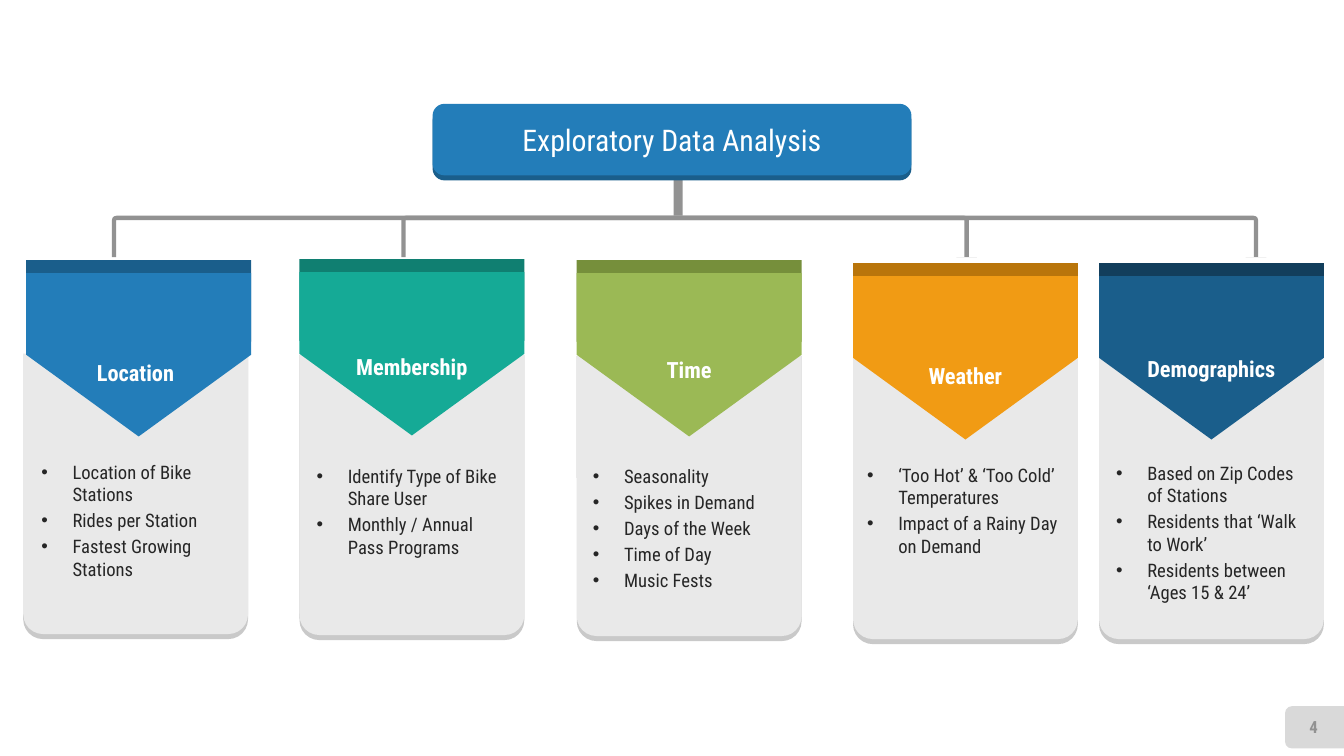
from lxml import etree
from pptx import Presentation
from pptx.dml.color import RGBColor
from pptx.enum.shapes import MSO_SHAPE
from pptx.enum.text import MSO_ANCHOR, MSO_AUTO_SIZE, PP_ALIGN
from pptx.oxml.ns import qn
from pptx.util import Inches, Pt

RECT = MSO_SHAPE.RECTANGLE
ROUND = MSO_SHAPE.ROUNDED_RECTANGLE
TAB = MSO_SHAPE.ROUND_2_SAME_RECTANGLE
PLATE = MSO_SHAPE.PENTAGON
UTURN = MSO_SHAPE.U_TURN_ARROW
MIDDLE, TOP = MSO_ANCHOR.MIDDLE, MSO_ANCHOR.TOP
CENTER, LEFT = PP_ALIGN.CENTER, PP_ALIGN.LEFT
NO_FIT = MSO_AUTO_SIZE.NONE

COLORS = {
    "white": "FFFFFF", "ink": "262626", "grey": "929292", "badge": "D9D9D9",
    "panel": "E9E9E9", "edge": "C9C9C9",
    "blue": "237DB9", "navy": "1A5E8B", "night": "123E5C",
    "teal": "15AA96", "pine": "107F71", "lime": "9BB955", "moss": "768F3B",
    "gold": "F19B14", "rust": "B9750B",
}
FACE = "Roboto Condensed"
HEAD = {"name": FACE, "size": Pt(21.3), "bold": False}
LABEL = {"name": FACE, "size": Pt(16), "bold": True}
ITEM = {"name": FACE, "size": Pt(13.3), "bold": False}
PAGE = {"name": FACE, "size": Pt(12), "bold": True}

WIDE = 2.23
LONG = 1.62
INDENT = 0.31
COLUMNS = [
    {"name": "Location", "panel": (0.23, 3.51), "plate": (0.26, 2.58),
     "fills": ("navy", "blue"), "label": 3.56, "list": (0.41, 4.57, 1.86),
     "items": ["Location of Bike Stations", "Rides per Station",
               "Fastest Growing Stations"]},
    {"name": "Membership", "panel": (2.97, 3.52), "plate": (2.97, 2.57),
     "fills": ("pine", "teal"), "label": 3.5, "list": (3.14, 4.61, 1.9),
     "items": ["Identify Type of Bike Share User",
               "Monthly / Annual Pass Programs"]},
    {"name": "Time", "panel": (5.72, 3.53), "plate": (5.72, 2.58),
     "fills": ("moss", "lime"), "label": 3.53, "list": (5.88, 4.61, 1.9),
     "items": ["Seasonality", "Spikes in Demand", "Days of the Week",
               "Time of Day", "Music Fests"]},
    {"name": "Weather", "panel": (8.46, 3.56), "plate": (8.46, 2.61),
     "fills": ("rust", "gold"), "label": 3.59, "list": (8.6, 4.6, 1.94),
     "items": ["‘Too Hot’ & ‘Too Cold’ Temperatures",
               "Impact of a Rainy Day on Demand"]},
    {"name": "Demographics", "panel": (10.9, 3.56), "plate": (10.9, 2.61),
     "fills": ("night", "navy"), "label": 3.52, "list": (11.07, 4.58, 1.9),
     "items": ["Based on Zip Codes of Stations", "Residents that ‘Walk to Work’",
               "Residents between ‘Ages 15 & 24’"]},
]


def paint(key):
    return RGBColor.from_string(COLORS[key])


def style(para, looks, color):
    for key, value in looks.items():
        setattr(para.font, key, value)
    para.font.color.rgb = paint(color)


def add_block(slide, kind, box, fill, turn=0, adjust=()):
    shape = slide.shapes.add_shape(kind, *map(Inches, box))
    shape.shadow.inherit = False
    shape.fill.solid()
    shape.fill.fore_color.rgb = paint(fill)
    shape.line.fill.background()
    shape.rotation = turn
    for i, value in enumerate(adjust):
        shape.adjustments[i] = value
    return shape


def set_frame(frame, anchor):
    looks = {"word_wrap": True, "auto_size": NO_FIT, "vertical_anchor": anchor,
             "margin_left": 0, "margin_right": 0, "margin_top": 0,
             "margin_bottom": 0}
    for key, value in looks.items():
        setattr(frame, key, value)


def add_text(slide, box, text, looks, color, anchor=TOP):
    frame = slide.shapes.add_textbox(*map(Inches, box)).text_frame
    set_frame(frame, anchor)
    para = frame.paragraphs[0]
    para.text = text
    para.alignment = CENTER
    style(para, looks, color)


def add_list(slide, box, items):
    frame = slide.shapes.add_textbox(*map(Inches, box)).text_frame
    set_frame(frame, TOP)
    for i, item in enumerate(items):
        para = frame.add_paragraph() if i else frame.paragraphs[0]
        para.text = item
        para.alignment = LEFT
        para.space_before = Pt(2.7 if i else 0)
        props = para._p.get_or_add_pPr()
        props.set("marL", str(Inches(INDENT)))
        props.set("indent", str(-Inches(INDENT)))
        font = etree.SubElement(props, qn("a:buFont"))
        font.set("typeface", "Arial")
        mark = etree.SubElement(props, qn("a:buChar"))
        mark.set("char", "•")
        style(para, ITEM, "ink")


def add_column(slide, col):
    x, y = col["panel"]
    for tall, fill in ((2.83, "edge"), (2.78, "panel")):
        add_block(slide, TAB, (x, y, WIDE, tall), fill, 180, (0.088, 0))
    left, top = col["plate"]
    shift = (WIDE - LONG) / 2
    for drop, fill in zip((0, 0.13), col["fills"]):
        box = (left + shift, top + drop - shift, LONG, WIDE)
        add_block(slide, PLATE, box, fill, 90)
    add_text(slide, (x, col["label"], WIDE, 0.27), col["name"], LABEL, "white")
    add_list(slide, (*col["list"], 1.7), col["items"])


def add_tree(slide):
    add_block(slide, RECT, (6.68, 1.74, 0.09, 0.4), "grey")
    for x, wide in ((1.11, 11.45), (3.98, 5.71)):
        add_block(slide, UTURN, (x, 2.14, wide, 0.41), "grey", 0,
                  (0.105, 0.25, 0, 0.109, 1))


def add_title(slide, text):
    box = (4.29, 1.03, 4.75, 0.71)
    add_block(slide, ROUND, (4.29, 1.08, 4.75, 0.71), "navy")
    base = add_block(slide, ROUND, box, "blue")
    title = slide.shapes.title
    title.left, title.top, title.width, title.height = map(Inches, box)
    title.text = text
    set_frame(title.text_frame, MIDDLE)
    para = title.text_frame.paragraphs[0]
    para.alignment = CENTER
    style(para, HEAD, "white")
    base._element.addnext(title._element)


def add_badge(slide, page):
    add_block(slide, TAB, (12.83, 6.92, 0.42, 0.59), "badge", 270)
    add_text(slide, (12.75, 7.01, 0.56, 0.4), page, PAGE, "grey", MIDDLE)


def main():
    deck = Presentation()
    deck.slide_width, deck.slide_height = Inches(13.33), Inches(7.5)
    slide = deck.slides.add_slide(deck.slide_layouts[5])
    add_tree(slide)
    add_title(slide, "Exploratory Data Analysis")
    for col in COLUMNS:
        add_column(slide, col)
    add_badge(slide, "4")
    deck.save("out.pptx")


if __name__ == "__main__":
    main()
